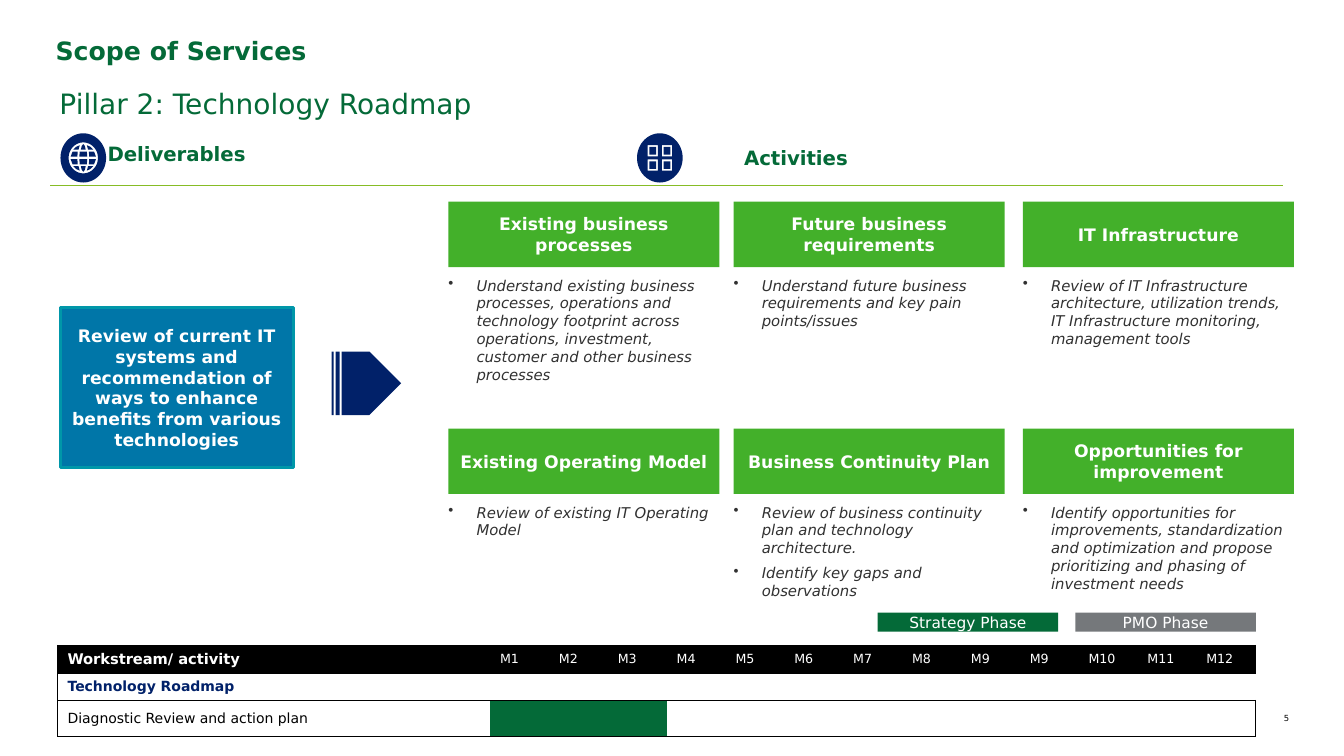
from dataclasses import dataclass
from itertools import product
from math import cos, pi, sin

from lxml import etree
from pptx import Presentation
from pptx.dml.color import RGBColor
from pptx.enum.shapes import MSO_CONNECTOR, MSO_SHAPE
from pptx.enum.text import MSO_ANCHOR, PP_ALIGN
from pptx.oxml.ns import qn
from pptx.util import Cm, Pt

RECT, STRIPED = MSO_SHAPE.RECTANGLE, MSO_SHAPE.STRIPED_RIGHT_ARROW
LEFT, CENTER, RIGHT, JUSTIFY = PP_ALIGN.LEFT, PP_ALIGN.CENTER, PP_ALIGN.RIGHT, PP_ALIGN.JUSTIFY
TOP, MIDDLE = MSO_ANCHOR.TOP, MSO_ANCHOR.MIDDLE

FONT = "DejaVu Sans"
FOREST = RGBColor(0x04, 0x6A, 0x38)
GREEN = RGBColor(0x43, 0xB0, 0x2A)
LIME = RGBColor(0x86, 0xBC, 0x25)
NAVY = RGBColor(0x01, 0x21, 0x69)
BLUE = RGBColor(0x00, 0x76, 0xA8)
TEAL = RGBColor(0x00, 0x97, 0xA9)
GREY = RGBColor(0x75, 0x78, 0x7B)
INK = RGBColor(0x31, 0x31, 0x31)
BLACK = RGBColor(0, 0, 0)
WHITE = RGBColor(255, 255, 255)

Point = tuple[float, float]
Box = tuple[float, float, float, float]


@dataclass
class Look:
    size: float
    color: RGBColor
    bold: bool = False
    italic: bool = False
    align: PP_ALIGN = LEFT
    anchor: MSO_ANCHOR = TOP
    inset: Point = (0, 0)
    spacing: float = 1
    bullet: bool = False


@dataclass
class Label:
    text: str
    box: Box
    look: Look


@dataclass
class Card:
    title: str
    notes: list[str]


HEAD = Look(14.1, FOREST, True, align=CENTER, anchor=MIDDLE, inset=(0.28, 0.28), spacing=1.06)
NAME = Look(12.3, WHITE, True, align=CENTER, anchor=MIDDLE, inset=(0.27, 0.15))
GOAL = Look(12.3, WHITE, True, align=CENTER, anchor=MIDDLE, inset=(0, 0.15))
NOTE = Look(10.6, INK, italic=True, bullet=True)
PHASE = Look(11, WHITE, align=CENTER)

LABELS = [
    Label("Scope of Services", (1.4, 0.89, 31, 0.94), Look(18, FOREST, True)),
    Label("Pillar 2: Technology Roadmap", (1.4, 2.08, 23.27, 1.07),
          Look(20, FOREST, align=JUSTIFY, inset=(0.1, 0.1))),
    Label("Deliverables", (2.34, 3.35, 4.22, 1), HEAD),
    Label("Activities", (16.56, 3.35, 7, 1.2), HEAD),
    Label("5", (31.62, 17.98, 0.87, 0.28), Look(6, BLACK, align=RIGHT)),
]
CARDS = [
    Card("Existing business processes",
         ["Understand existing business processes, operations and technology footprint across "
          "operations, investment, customer and other business processes"]),
    Card("Future business requirements",
         ["Understand future business requirements and key pain points/issues"]),
    Card("IT Infrastructure",
         ["Review of IT Infrastructure architecture, utilization trends, IT Infrastructure "
          "monitoring, management tools"]),
    Card("Existing Operating Model", ["Review of existing IT Operating Model"]),
    Card("Business Continuity Plan",
         ["Review of business continuity plan and technology architecture.",
          "Identify key gaps and observations"]),
    Card("Opportunities for improvement",
         ["Identify opportunities for improvements, standardization and optimization and "
          "propose prioritizing and phasing of investment needs"]),
]
MONTHS = ["M1", "M2", "M3", "M4", "M5", "M6", "M7", "M8", "M9", "M9", "M10", "M11", "M12"]

deck = Presentation()
deck.slide_width, deck.slide_height = Cm(33.87), Cm(19.05)
slide = deck.slides.add_slide(deck.slide_layouts[6])
shapes = slide.shapes


def style(font, look: Look) -> None:
    form = {"name": FONT, "size": Pt(look.size), "bold": look.bold, "italic": look.italic}
    for key, value in form.items():
        setattr(font, key, value)
    font.color.rgb = look.color


def write(shape, lines: list[str], look: Look) -> None:
    frame = shape.text_frame
    wide, high = map(Cm, look.inset)
    form = {"word_wrap": True, "vertical_anchor": look.anchor, "margin_left": wide,
            "margin_right": wide, "margin_top": high, "margin_bottom": high}
    for key, value in form.items():
        setattr(frame, key, value)
    for i, line in enumerate(lines):
        para = frame.add_paragraph() if i else frame.paragraphs[0]
        para.alignment, para.line_spacing = look.align, look.spacing
        if i:
            para.space_before = Pt(5.3)
        if look.bullet:
            props = para._p.get_or_add_pPr()
            props.set("marL", str(Cm(0.71)))
            props.set("indent", str(-Cm(0.71)))
            etree.SubElement(props, qn("a:buChar")).set("char", "•")
        run = para.add_run()
        run.text = line
        style(run.font, look)


def paint(shape, fill: RGBColor) -> None:
    shape.shadow.inherit = False
    shape.fill.solid()
    shape.fill.fore_color.rgb = fill
    shape.line.fill.background()


def block(box: Box, fill: RGBColor, kind: MSO_SHAPE = RECT):
    shape = shapes.add_shape(kind, *map(Cm, box))
    paint(shape, fill)
    return shape


def note(box: Box, lines: list[str], look: Look) -> None:
    write(shapes.add_textbox(*map(Cm, box)), lines, look)


def oval(wide: float, high: float) -> list[Point]:
    turns = [2 * pi * i / 60 for i in range(60)]
    return [(wide * cos(t), high * sin(t)) for t in turns]


def icon(x: float, y: float, rings: list[list[Point]]) -> None:
    """Draw nested outlines; each inner outline cuts or refills the disc."""
    build = None
    for ring in [oval(0.575, 0.62), *rings]:
        spots = [(Cm(x + dx), Cm(y + dy)) for dx, dy in ring]
        if build is None:
            build = shapes.build_freeform(*spots[0])
        else:
            build.move_to(*spots[0])
        build.add_line_segments(spots[1:], close=True)
    paint(build.convert_to_shape(), NAVY)


def edge(cell, sides: str) -> None:
    props = cell._tc.get_or_add_tcPr()
    for side in "LRTB":
        line = etree.SubElement(props, qn("a:ln" + side), w=str(Pt(0.75)))
        if side in sides:
            solid = etree.SubElement(line, qn("a:solidFill"))
            etree.SubElement(solid, qn("a:srgbClr"), val=str(BLACK))
        else:
            etree.SubElement(line, qn("a:noFill"))


# Headings, icons and rule
for label in LABELS:
    note(label.box, [label.text], label.look)

signs = (-1, 1)
middle = [[(0, -0.35), (0.04, -0.3), (0.06, -0.21), (-0.06, -0.21), (-0.04, -0.3)],
          [(-0.09, -0.16), (0.09, -0.16), (0.1, -0.03), (-0.1, -0.03)]]
outer = [[(0.12, -0.21), (0.25, -0.21), (0.18, -0.28), (0.09, -0.32)],
         [(0.14, -0.16), (0.27, -0.16), (0.32, -0.03), (0.15, -0.03)]]
globe = [oval(0.37, 0.39)]
globe += [[(x, y * v) for x, y in ring] for v in signs for ring in middle]
globe += [[(x * h, y * v) for x, y in ring] for h, v in product(signs, signs) for ring in outer]
corners = [(-1, -1), (1, -1), (1, 1), (-1, 1)]
tiles = [[(0.18 * h + a * wide, 0.18 * v + b * high) for a, b in corners]
         for h, v in product(signs, signs) for wide, high in ((0.13, 0.14), (0.085, 0.095))]
icon(2.1, 3.98, globe)
icon(16.63, 3.98, tiles)

rule = shapes.add_connector(MSO_CONNECTOR.STRAIGHT, Cm(1.27), Cm(4.68), Cm(32.33), Cm(4.68))
rule.line.color.rgb, rule.line.width = LIME, Pt(0.75)
etree.SubElement(rule._element.spPr, qn("a:effectLst"))

# Deliverable and arrow
goal = block((1.52, 7.75, 5.87, 4.04), BLUE)
goal.line.color.rgb, goal.line.width = TEAL, Pt(2)
write(goal, ["Review of current IT systems and recommendation of ways to enhance benefits "
             "from various technologies"], GOAL)
arrow = block((8.36, 8.86, 1.75, 1.6), NAVY, STRIPED)
arrow.adjustments[0], arrow.adjustments[1] = 1, 0.5

# Activity cards
for card, (y, x) in zip(CARDS, product((5.08, 10.8), (11.3, 18.49, 25.78))):
    write(block((x, y, 6.83, 1.65), GREEN), [card.title], NAME)
    note((x, y + 1.88, 6.81, 2.4), card.notes, NOTE)

# Phase key
for x, text, fill in ((22.12, "Strategy Phase", FOREST), (27.1, "PMO Phase", GREY)):
    write(block((x, 15.44, 4.55, 0.48), fill), [text], PHASE)

# Timeline table
last = len(MONTHS)
rows = [["Workstream/ activity", *MONTHS], ["Technology Roadmap"],
        ["Diagnostic Review and action plan"]]
looks = [Look(10.5, WHITE, True), Look(10, NAVY, True), Look(10, BLACK)]
plan = shapes.add_table(3, last + 1, Cm(1.45), Cm(16.26), Cm(30.18), Cm(2.28)).table
plan.first_row = plan.horz_banding = False
for i, column in enumerate(plan.columns):
    column.width = Cm(1.483 if i else 10.9)
for row, high in zip(plan.rows, (0.69, 0.69, 0.9)):
    row.height = Cm(high)
for r, c in product(range(3), range(last + 1)):
    cell = plan.cell(r, c)
    edge(cell, "TB" + "L" * (c == 0) + "R" * (c == last))
    cell.vertical_anchor = MIDDLE
    cell.fill.solid()
    cell.fill.fore_color.rgb = BLACK if r == 0 else FOREST if r == 2 and 1 <= c <= 3 else WHITE
    para = cell.text_frame.paragraphs[0]
    if c < len(rows[r]):
        run = para.add_run()
        run.text = rows[r][c]
        style(run.font, Look(9, WHITE) if c else looks[r])
    else:
        etree.SubElement(para._p, qn("a:endParaRPr"), sz="900")
plan.cell(1, 0).merge(plan.cell(1, last))

deck.save("out.pptx")
